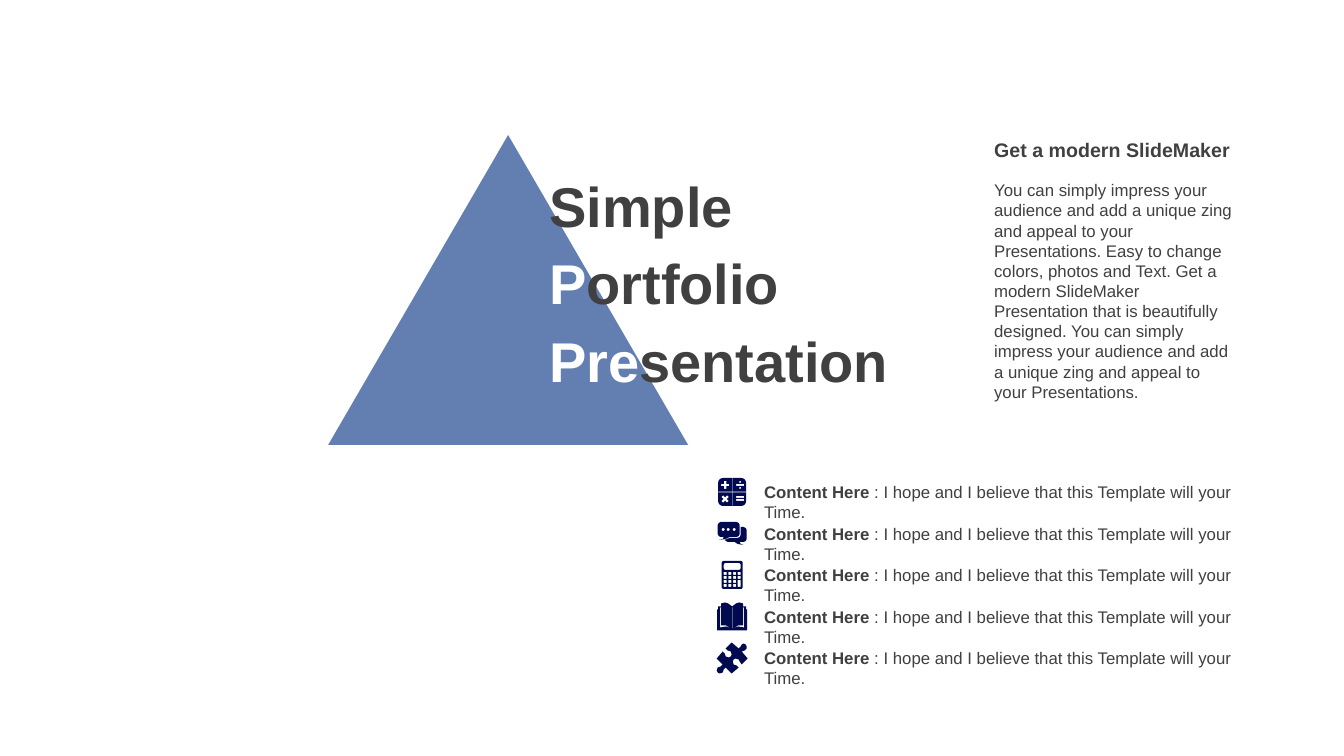
"""Build a portfolio title slide with a triangle, a text column and five icon rows."""
from dataclasses import dataclass
from itertools import product
from math import cos, pi, sin

from pptx import Presentation
from pptx.dml.color import RGBColor
from pptx.enum.shapes import MSO_SHAPE
from pptx.enum.text import MSO_ANCHOR, MSO_AUTO_SIZE, PP_ALIGN
from pptx.oxml.ns import qn
from pptx.util import Inches, Pt
from lxml.etree import SubElement


@dataclass(frozen=True)
class Theme:
    font: str = "Arial"
    text: str = "404040"
    light: str = "FFFFFF"
    triangle: str = "224A90"
    icon: str = "010A4F"
    title_size: int = 40
    heading_size: int = 14
    body_size: int = 12


THEME = Theme()
PX = 914400 / 100.8

TITLE_SPANS = [
    ("Simple ", THEME.text),
    ("P", THEME.light),
    ("ortfolio ", THEME.text),
    ("Pre", THEME.light),
    ("sentation", THEME.text),
]
HEADING = "Get a modern SlideMaker"
BODY = (
    "You can simply impress your audience and add a unique zing and appeal to your "
    "Presentations. Easy to change colors, photos and Text. Get a modern SlideMaker "
    "Presentation that is beautifully designed. You can simply impress your audience "
    "and add a unique zing and appeal to your Presentations."
)
ROW_LABEL = "Content Here "
ROW_TEXT = ": I hope and I believe that this Template will your Time."

TITLE_BOX = (539, 173, 399, 209)
TRIANGLE_BOX = (328, 135, 360, 310)
HEADING_BOX = (984, 133, 262, 34)
BODY_BOX = (984, 175, 262, 234)
ROW_BOX = (754, 477, 532, 30)
ICON_CENTER = (732, 492)
ROW_PITCH = 41.5

FRONT_BUBBLE = [
    (3, 0), (19, 0), (21, 1), (22, 3), (22, 12), (21, 14), (19, 15), (12, 15), (8, 17),
    (1, 18), (5, 17), (6, 15), (3, 15), (1, 14), (0, 12), (0, 3), (1, 1),
]
BACK_BUBBLE = [
    (23, 5), (26, 5), (28, 6), (29, 8), (29, 17), (28, 19), (26, 20), (22, 20), (23, 22),
    (26, 23), (20, 22), (17, 20), (10, 20), (7, 18), (12, 16), (20, 16), (22, 15), (23, 13),
]
BOOK_COVER = [
    (0, 7), (1, 7), (1, 4), (4, 4), (4, 1), (8, 0), (11, 1), (15, 4), (19, 1), (22, 0),
    (26, 1), (26, 4), (29, 4), (29, 7), (30, 7), (30, 28), (0, 28),
]
PAGE_EDGE = [(3, 5), (4, 5), (4, 23), (9, 23), (14, 26), (9, 24), (3, 25)]
PUZZLE_PIECE = [
    (29, 2), (30, 4), (30, 6), (28, 8), (25, 9), (31, 16), (25, 22), (23, 19), (22, 17),
    (19, 16), (17, 17), (16, 19), (17, 22), (20, 23), (22, 25), (15, 31), (9, 25), (7, 27),
    (6, 30), (3, 31), (1, 30), (0, 28), (1, 25), (4, 24), (6, 22), (0, 16), (6, 9), (8, 11),
    (9, 14), (12, 15), (14, 14), (15, 12), (14, 9), (11, 8), (9, 6), (15, 0), (22, 6),
    (24, 4), (25, 2), (27, 1),
]


def rounded(left, top, width, height, radius=0):
    if not radius:
        return [(left, top), (left + width, top),
                (left + width, top + height), (left, top + height)]
    centers = [
        (left + width - radius, top + height - radius), (left + radius, top + height - radius),
        (left + radius, top + radius), (left + width - radius, top + radius),
    ]
    return [
        (x + radius * cos((corner + step / 4) * pi / 2),
         y + radius * sin((corner + step / 4) * pi / 2))
        for corner, (x, y) in enumerate(centers) for step in range(5)
    ]


def cross(x, y, arm, half, angle=0):
    outline = [
        (-half, -arm), (half, -arm), (half, -half), (arm, -half), (arm, half), (half, half),
        (half, arm), (-half, arm), (-half, half), (-arm, half), (-arm, -half), (-half, -half),
    ]
    return [(x + a * cos(angle) - b * sin(angle), y + a * sin(angle) + b * cos(angle))
            for a, b in outline]


MATH_TILES = [
    rounded(0, 0, 28, 28, 5), cross(14, 14, 14, 0.3), cross(7, 7, 4, 1.2),
    cross(7, 21, 4, 1.2, pi / 4), rounded(18, 6, 8, 2), rounded(21, 3, 2, 2, 1),
    rounded(21, 9, 2, 2, 1), rounded(18, 18, 8, 2), rounded(18, 21, 8, 2),
]
CHAT = [FRONT_BUBBLE, BACK_BUBBLE] + [rounded(x, 6, 3, 3, 1.5) for x in (4, 9, 15)]
KEYS = [
    rounded(2 + column * 14 / 3, 11 + row * 4, 3, 3, 0.5)
    for column, row in product(range(4), repeat=2) if (column, row) not in [(3, 2), (3, 3)]
]
CALCULATOR = [rounded(0, 0, 21, 28, 2), rounded(2, 2, 17, 7, 2),
              rounded(16, 19, 3, 7, 0.5)] + KEYS
BOOK = [BOOK_COVER, PAGE_EDGE, [(30 - x, y) for x, y in PAGE_EDGE],
        rounded(14.7, 5, 0.6, 21)]
ICONS = [
    ((28, 28), MATH_TILES), ((29, 23), CHAT), ((21, 28), CALCULATOR),
    ((30, 28), BOOK), ((31, 31), [PUZZLE_PIECE]),
]


def emu(lengths):
    return [round(length * PX) for length in lengths]


def paint(shape, color):
    shape.shadow.inherit = False
    shape.fill.solid()
    shape.fill.fore_color.rgb = RGBColor.from_string(color)
    shape.line.fill.background()


def write(box, spans, size, anchor=MSO_ANCHOR.TOP, spacing=1.0):
    frame = box.text_frame
    frame_format = {"word_wrap": True, "auto_size": MSO_AUTO_SIZE.NONE,
                    "vertical_anchor": anchor}
    for name, value in frame_format.items():
        setattr(frame, name, value)
    para = frame.paragraphs[0]
    para_format = {"alignment": PP_ALIGN.LEFT, "line_spacing": spacing, "space_before": Pt(0)}
    for name, value in para_format.items():
        setattr(para, name, value)
    for text, color, bold in spans:
        span = para.add_run()
        span.text = text
        span_format = {"name": THEME.font, "size": Pt(size), "bold": bold}
        for name, value in span_format.items():
            setattr(span.font, name, value)
        span.font.color.rgb = RGBColor.from_string(color)


def draw_icon(page, size, contours, center):
    left, top = (middle - length / 2 for middle, length in zip(center, size))
    outlines = [[emu((left + x, top + y)) for x, y in contour] for contour in contours]
    builder = page.shapes.build_freeform(*outlines[0][0])
    builder.add_line_segments(outlines[0][1:])
    for outline in outlines[1:]:
        builder.move_to(*outline[0])
        builder.add_line_segments(outline[1:])
    paint(builder.convert_to_shape(), THEME.icon)


def main():
    deck = Presentation()
    deck.slide_width, deck.slide_height = Inches(13.33), Inches(7.5)
    page = deck.slides.add_slide(deck.slide_layouts[5])

    triangle = page.shapes.add_shape(MSO_SHAPE.ISOSCELES_TRIANGLE, *emu(TRIANGLE_BOX))
    paint(triangle, THEME.triangle)
    color = triangle._element.spPr.find(qn("a:solidFill"))[0]
    SubElement(color, qn("a:alpha"), val="70000")

    left, top, width, height = ROW_BOX
    for index, (size, contours) in enumerate(ICONS):
        shift = index * ROW_PITCH
        row = page.shapes.add_textbox(*emu((left, top + shift, width, height)))
        write(row, [(ROW_LABEL, THEME.text, True), (ROW_TEXT, THEME.text, False)],
              THEME.body_size)
        draw_icon(page, size, contours, (ICON_CENTER[0], ICON_CENTER[1] + shift))

    for bounds, text, size, bold in [
        (BODY_BOX, BODY, THEME.body_size, False),
        (HEADING_BOX, HEADING, THEME.heading_size, True),
    ]:
        write(page.shapes.add_textbox(*emu(bounds)), [(text, THEME.text, bold)], size)

    title = page.shapes.title
    title.left, title.top, title.width, title.height = emu(TITLE_BOX)
    write(title, [(text, color, True) for text, color in TITLE_SPANS],
          THEME.title_size, MSO_ANCHOR.MIDDLE, 1.15)
    title._element.getparent().append(title._element)

    deck.save("out.pptx")


if __name__ == "__main__":
    main()
